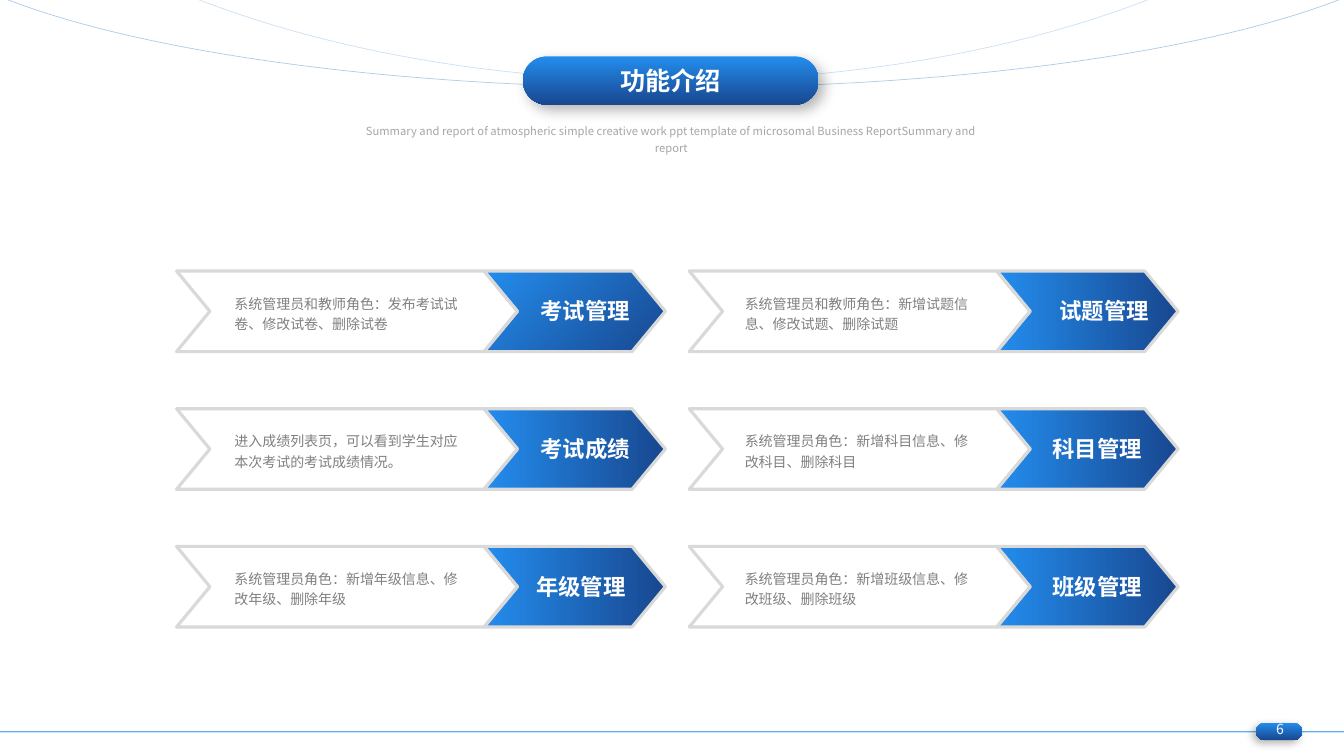
from lxml import etree
from pptx import Presentation
from pptx.dml.color import RGBColor
from pptx.enum.shapes import MSO_CONNECTOR, MSO_SHAPE
from pptx.enum.text import MSO_ANCHOR, MSO_AUTO_SIZE, PP_ALIGN
from pptx.oxml.ns import qn
from pptx.util import Cm, Pt

ARC, CHEVRON, PILL = MSO_SHAPE.ARC, MSO_SHAPE.CHEVRON, MSO_SHAPE.ROUNDED_RECTANGLE
STRAIGHT = MSO_CONNECTOR.STRAIGHT
CENTER, LEFT = PP_ALIGN.CENTER, PP_ALIGN.LEFT
MIDDLE, GROW = MSO_ANCHOR.MIDDLE, MSO_AUTO_SIZE.SHAPE_TO_FIT_TEXT
FONT = "Noto Sans CJK SC"
color = RGBColor.from_string


def draw(shapes, kind, box, adjustments, angle=None, line=None, width=0):
    sp = shapes.add_shape(kind, *map(Cm, box))
    for i, value in enumerate(adjustments):
        sp.adjustments[i] = value
    if angle is None:
        sp.fill.background()
    else:
        sp.fill.gradient()
        sp.fill.gradient_angle = angle
        for stop, shade in zip(sp.fill.gradient_stops, ("238DED", "18478F")):
            stop.color.rgb = color(shade)
    if line:
        sp.line.color.rgb = color(line)
        sp.line.width = Pt(width)
    else:
        sp.line.fill.background()
    sp.shadow.inherit = False
    return sp


def write(sp, text, size, shade, bold=False, align=CENTER, spacing=1.0):
    tf = sp.text_frame
    tf.word_wrap = True
    p = tf.paragraphs[0]
    p.text = text
    p.alignment = align
    p.line_spacing = spacing
    p.font.size = Pt(size)
    p.font.bold = bold
    p.font.color.rgb = color(shade)
    p.font.name = FONT
    etree.SubElement(p._p.pPr.find(qn("a:defRPr")), qn("a:ea"), typeface=FONT)
    return tf


prs = Presentation()
prs.slide_width, prs.slide_height = Cm(33.87), Cm(19.05)
s = prs.slides.add_slide(prs.slide_layouts[6])

lines = []
for top, height, angles, opacity in [
    (-7.06, 9.27, (112.82, 211.33), 50),
    (-17.73, 19.76, (127.02, 196.69), 30),
]:
    arc = draw(s.shapes, ARC, (-2.69, top, 39.32, height), angles, line="5B9BD5", width=0.5)
    arc.rotation = 180
    lines.append((arc, opacity))

footer = s.shapes.add_connector(STRAIGHT, 0, Cm(18.44), prs.slide_width, Cm(18.44))
footer.line.color.rgb = color("238DED")
footer.line.width = Pt(1)
etree.SubElement(footer._element.spPr, qn("a:effectLst"))
lines.append((footer, 70))

for line, opacity in lines:
    rgb = line._element.spPr.find(qn("a:ln")).find(".//" + qn("a:srgbClr"))
    etree.SubElement(rgb, qn("a:alpha"), val=str(opacity * 1000))

pills = []
for box, blur, distance, direction in [
    ((31.65, 18.21, 1.17, 0.44), 6, 3, 135),
    ((13.18, 1.42, 7.45, 1.22), 10, 5, 45),
]:
    pill = draw(s.shapes, PILL, box, [0.5], angle=270)
    shadow = etree.SubElement(
        pill._element.spPr.find(qn("a:effectLst")), qn("a:outerShdw"),
        blurRad=str(Pt(blur)), dist=str(Pt(distance)),
        dir=str(direction * 60000), algn="ctr", rotWithShape="0")
    rgb = etree.SubElement(shadow, qn("a:srgbClr"), val="000000")
    etree.SubElement(rgb, qn("a:alpha"), val="30000")
    pills.append(pill)
write(pills[1], "功能介绍", 18, "FFFFFF", bold=True).vertical_anchor = MIDDLE

subtitle = s.shapes.add_textbox(Cm(8.69), Cm(2.9), Cm(16.46), Cm(0.66))
write(subtitle, "Summary and report of atmospheric simple creative work ppt template of "
      "microsomal Business ReportSummary and report", 8, "A6A6A6", spacing=1.3).auto_size = GROW
number = s.shapes.add_textbox(Cm(31.57), Cm(18.03), Cm(1.37), Cm(0.69))
write(number, "6", 10, "F8F8F8").auto_size = GROW

columns = [
    (4.45, 5.66, [
        ("考试管理", 14.75, 315, "系统管理员和教师角色：发布考试试卷、修改试卷、删除试卷"),
        ("考试成绩", 14.75, 0, "进入成绩列表页，可以看到学生对应本次考试的考试成绩情况。"),
        ("年级管理", 14.64, 0, "系统管理员角色：新增年级信息、修改年级、删除年级"),
    ]),
    (17.37, 18.52, [
        ("试题管理", 27.83, 0, "系统管理员和教师角色：新增试题信息、修改试题、删除试题"),
        ("科目管理", 27.65, 0, "系统管理员角色：新增科目信息、修改科目、删除科目"),
        ("班级管理", 27.65, 0, "系统管理员角色：新增班级信息、修改班级、删除班级"),
    ]),
]
for left, text_left, features in columns:
    for row, (name, center, angle, detail) in enumerate(features):
        top = 6.83 + 3.47 * row
        shapes = s.shapes.add_group_shape().shapes
        draw(shapes, CHEVRON, (left + 7.75, top, 4.57, 2.03), [0.414], angle, "D9D9D9", 2.25)
        draw(shapes, CHEVRON, (left, top, 8.59, 2.03), [0.414], None, "D9D9D9", 2.25)
        body = shapes.add_textbox(Cm(text_left), Cm(top + 0.4), Cm(6.25), Cm(1.27))
        write(body, detail, 10, "808080", align=LEFT, spacing=1.2).auto_size = GROW
        label = shapes.add_textbox(Cm(center - 1.3), Cm(top + 0.67), Cm(2.6), Cm(0.69))
        tf = write(label, name, 16, "FFFFFF", bold=True)
        tf.margin_left = tf.margin_right = tf.margin_top = tf.margin_bottom = 0
        tf.auto_size = GROW

prs.save("out.pptx")
